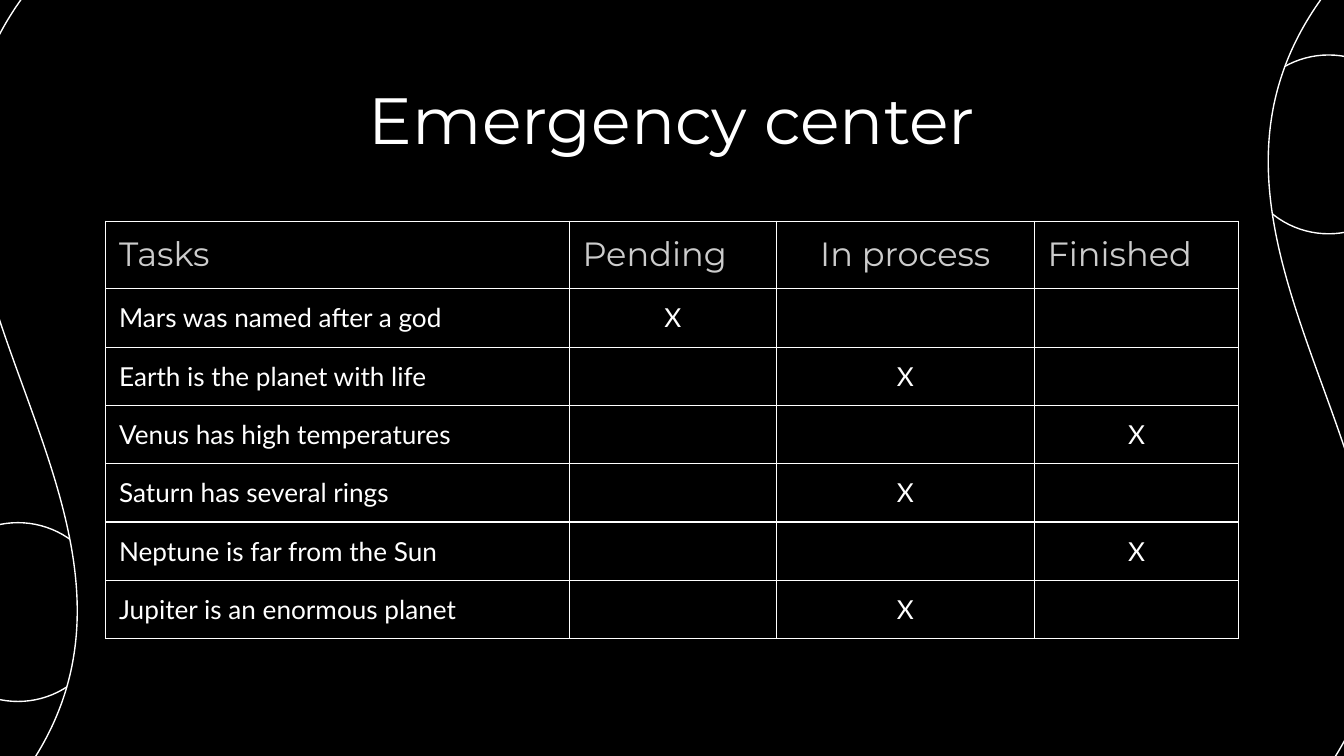
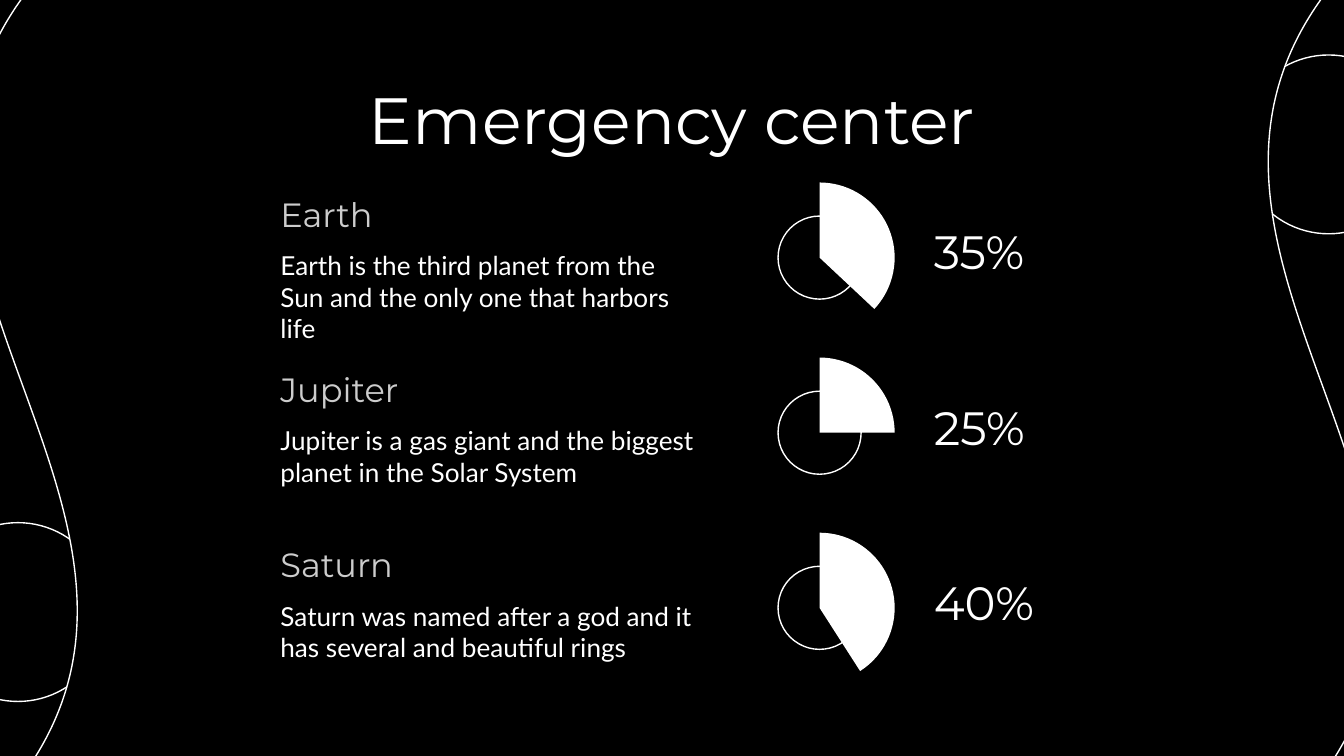
from lxml import etree
from pptx import Presentation
from pptx import util as u
from pptx.dml.color import RGBColor
from pptx.enum import shapes, text
from pptx.oxml import ns

BLACK, WHITE, GREY = "000000", "FFFFFF", "CCCCCC"
LINE = 0.75
INSET = u.Cm(0.25)
STYLES = {
    "title": {"name": "Montserrat", "size": u.Pt(35), "color": WHITE},
    "heading": {"name": "Montserrat", "size": u.Pt(18), "color": GREY},
    "body": {"name": "Lato", "size": u.Pt(14), "color": WHITE},
    "figure": {"name": "Montserrat", "size": u.Pt(25), "color": WHITE},
}
LEFT, CENTER = text.PP_ALIGN.LEFT, text.PP_ALIGN.CENTER
TOP, MIDDLE, BOTTOM = (text.MSO_ANCHOR.TOP, text.MSO_ANCHOR.MIDDLE,
                       text.MSO_ANCHOR.BOTTOM)
Preset = shapes.MSO_SHAPE

STATES = ["Pending", "In process", "Finished"]
TASKS = [
    ("Mars was named after a god", "Pending"),
    ("Earth is the planet with life", "In process"),
    ("Venus has high temperatures", "Finished"),
    ("Saturn has several rings", "In process"),
    ("Neptune is far from the Sun", "Finished"),
    ("Jupiter is an enormous planet", "In process"),
]
# Name, description, percentage, start angle of the mirrored wedge
PLANETS = [
    ("Earth", "Earth is the third planet from the Sun and the only one "
     "that harbors life", "35%", 82.11),
    ("Jupiter", "Jupiter is a gas giant and the biggest planet in the "
     "Solar System", "25%", 107.98),
    ("Saturn", "Saturn was named after a god and it has several and "
     "beautiful rings", "40%", 73.61),
]


def color(value):
    return RGBColor.from_string(value)


def cm(*lengths):
    return [u.Cm(length) for length in lengths]


class Deck:
    """Holds the presentation, its shared style and the current page."""

    def __init__(self):
        self.deck = Presentation()
        self.deck.slide_width, self.deck.slide_height = cm(25.4, 14.29)
        self.layout = self.deck.slide_layouts[5]
        self.page = None
        fill = self.layout.background.fill
        fill.solid()
        fill.fore_color.rgb = color(BLACK)
        for holder in list(self.layout.placeholders):
            if holder.placeholder_format.type != shapes.PP_PLACEHOLDER.TITLE:
                holder.element.getparent().remove(holder.element)

    def new_page(self, title):
        self.page = self.deck.slides.add_slide(self.layout)
        holder = self.page.shapes.title
        holder.left, holder.top, holder.width, holder.height = cm(
            2, 1.24, 21.41, 1.6)
        self.fill_frame(holder.text_frame, title, "title", CENTER)

    def fill_frame(self, frame, words, style, align=LEFT, anchor=TOP):
        settings = {"word_wrap": True, "auto_size": text.MSO_AUTO_SIZE.NONE,
                    "vertical_anchor": anchor}
        for side in ("left", "right", "top", "bottom"):
            settings["margin_" + side] = INSET
        for key, value in settings.items():
            setattr(frame, key, value)
        self.fill_paragraph(frame.paragraphs[0], words, style, align)

    def fill_paragraph(self, para, words, style, align=LEFT):
        para.alignment = align
        span = para.add_run()
        span.text = words
        for key, value in STYLES[style].items():
            if key == "color":
                span.font.color.rgb = color(value)
            else:
                setattr(span.font, key, value)

    def text_box(self, parent, place, words, style, anchor=TOP):
        box = parent.shapes.add_textbox(*cm(*place))
        self.fill_frame(box.text_frame, words, style, anchor=anchor)

    def shape(self, preset, place, fill=BLACK, line=WHITE, adjust=(),
              flip=False, turn=0):
        shape = self.page.shapes.add_shape(preset, *cm(*place))
        shape.shadow.inherit = False
        shape.fill.solid()
        shape.fill.fore_color.rgb = color(fill)
        if line:
            shape.line.color.rgb = color(line)
            shape.line.width = u.Pt(LINE)
        else:
            shape.line.fill.background()
        for index, value in enumerate(adjust):
            shape.adjustments[index] = value
        shape.rotation = turn
        if flip:
            shape.element.spPr.find(ns.qn("a:xfrm")).set("flipH", "1")
        return shape

    def draw_backdrop(self):
        """Draw the wave and its circles, then move them into the layout."""
        circle = 3.38
        backdrop = [
            self.shape(Preset.OVAL, (23.42, 1.04, circle, circle)),
            self.shape(Preset.OVAL, (-1.35, 9.88, circle, circle)),
            self.shape(Preset.WAVE, (5.36, -6.05, 14.71, 26.7),
                       adjust=(0.04, 0), flip=True, turn=270),
        ]
        tree = self.layout.shapes.element
        for index, shape in enumerate(backdrop, start=2):
            tree.insert(index, shape.element)

    def table(self, place, widths, heights, rows):
        """Fill a bordered table; the first row holds the headings."""
        frame = self.page.shapes.add_table(
            len(heights), len(widths), *cm(*place, sum(widths), sum(heights)))
        table = frame.table
        table.first_row = table.horz_banding = False
        for column, width in zip(table.columns, widths):
            column.width = u.Cm(width)
        for row, height in zip(table.rows, heights):
            row.height = u.Cm(height)
        for r, row in enumerate(rows):
            for c, (words, align) in enumerate(row):
                style = "body" if r else "heading"
                self.cell(table.cell(r, c), words, style, align)

    def cell(self, cell, words, style, align):
        for side in ("left", "right", "top", "bottom"):
            setattr(cell, "margin_" + side, INSET)
        properties = cell._tc.get_or_add_tcPr()
        for side in "LRTB":
            border = etree.SubElement(properties, ns.qn("a:ln" + side),
                                      w=str(int(u.Pt(LINE))))
            solid = etree.SubElement(border, ns.qn("a:solidFill"))
            etree.SubElement(solid, ns.qn("a:srgbClr"), val=WHITE)
        cell.fill.background()
        para = cell.text_frame.paragraphs[0]
        if words:
            self.fill_paragraph(para, words, style, align)
        else:
            size = STYLES[style]["size"].centipoints
            etree.SubElement(para._p, ns.qn("a:endParaRPr"), sz=str(size))

    def planet(self, top, name, description, share, start):
        """Draw one row: heading, description, wedge and percentage."""
        disc, wedge, left = 1.57, 2.84, 14.07
        gap = (wedge - disc) / 2
        self.shape(Preset.OVAL, (left + gap, top + gap, disc, disc))
        self.shape(Preset.PIE, (left, top, wedge, wedge), WHITE, None,
                   adjust=(start, 162), flip=True)
        group = self.page.shapes.add_group_shape()
        self.text_box(group, (5.05, top + 1.02, 8.53, 1.6), description,
                      "body")
        self.text_box(group, (5.05, top, 8.53, 1.22), name, "heading", BOTTOM)
        self.text_box(group, (17.4, top + 0.69, 2.95, 1.22), share, "figure",
                      MIDDLE)


def main():
    deck = Deck()
    deck.new_page("Emergency center")
    deck.draw_backdrop()
    rows = [[("Tasks", LEFT)] + [
        (state, CENTER if state == "In process" else LEFT)
        for state in STATES]]
    for task, current in TASKS:
        rows.append([(task, LEFT)] + [
            ("X" if state == current else "", CENTER) for state in STATES])
    deck.table((2, 4.18), [8.76, 3.91, 4.88, 3.86],
               [1.28] + [1.1] * len(TASKS), rows)

    deck.new_page("Emergency center")
    for index, planet in enumerate(PLANETS):
        deck.planet(3.45 + 3.31 * index, *planet)
    deck.deck.save("out.pptx")


if __name__ == "__main__":
    main()
